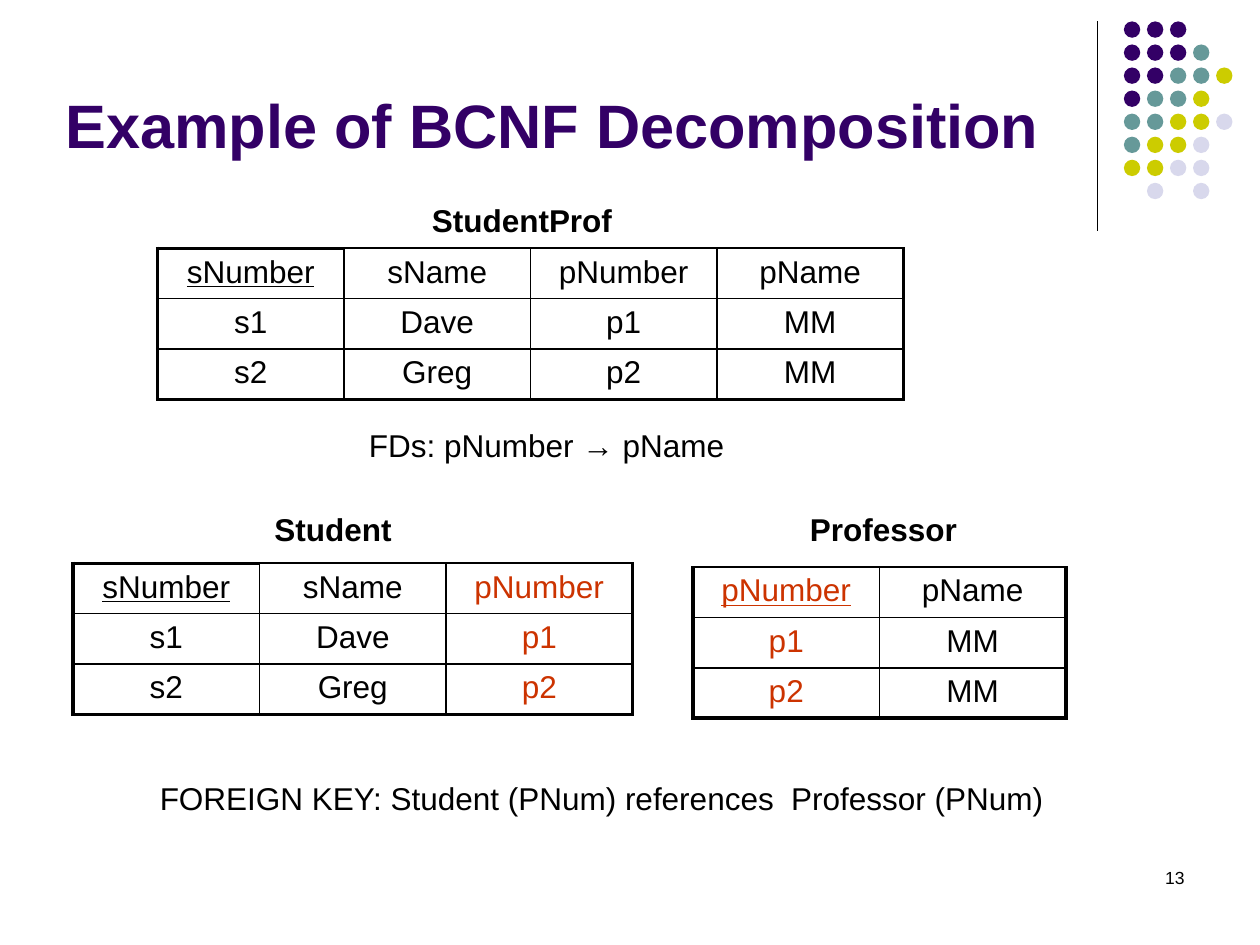
"""Build a slide that shows a BCNF decomposition with three tables."""
from lxml import etree
from pptx import Presentation
from pptx.dml.color import RGBColor
from pptx.enum import shapes, text
from pptx.oxml.ns import qn
from pptx.util import Inches, Pt

FONT = "Arial"
BLACK = RGBColor(0x00, 0x00, 0x00)
PURPLE = RGBColor(0x33, 0x00, 0x66)
TEAL = RGBColor(0x66, 0x99, 0x99)
LIME = RGBColor(0xCC, 0xCC, 0x00)
PALE = RGBColor(0xD8, 0xD8, 0xEC)
RED = RGBColor(0xCC, 0x33, 0x00)
LEFT, RIGHT = text.PP_ALIGN.LEFT, text.PP_ALIGN.RIGHT
CENTER = text.PP_ALIGN.CENTER

TITLE = "Example of BCNF Decomposition"
TABLES = [
    {"at": (1.25, 1.97), "red": None, "top": True, "rows": [
        ("sNumber", "sName", "pNumber", "pName"),
        ("s1", "Dave", "p1", "MM"),
        ("s2", "Greg", "p2", "MM")]},
    {"at": (0.58, 4.47), "red": 2, "top": True, "rows": [
        ("sNumber", "sName", "pNumber"),
        ("s1", "Dave", "p1"),
        ("s2", "Greg", "p2")]},
    {"at": (5.5, 4.5), "red": 0, "top": False, "rows": [
        ("pNumber", "pName"),
        ("p1", "MM"),
        ("p2", "MM")]},
]
LABELS = [
    ("StudentProf", (3.33, 1.55, 1.63, 0.4), True),
    ("FDs: pNumber → pName", (2.83, 3.33, 3.02, 0.4), False),
    ("Student", (2.08, 4, 1.13, 0.4), True),
    ("Professor", (6.33, 4, 1.37, 0.4), True),
]
KEY = "FOREIGN KEY: Student (PNum) references  Professor (PNum)"
DOTS = ["PPP", "PPPT", "PPTTL", "PTTL", "TTLLW", "TLLW", "LLWW", " W W"]
HUES = {"P": PURPLE, "T": TEAL, "L": LIME, "W": PALE}
COL, ROW = 1.48, 0.4
THIN, THICK = 1, 2.25
STEP, DOT = 0.183, 0.13


def write(para, words, size=18, color=BLACK, bold=False, line=False, align=LEFT):
    para.alignment = align
    run = para.add_run()
    run.text = words
    font = run.font
    font.name, font.size, font.bold = FONT, Pt(size), bold
    font.underline = line
    font.color.rgb = color


def add_text(slide, words, box, wrap=False, **style):
    frame = slide.shapes.add_textbox(*map(Inches, box)).text_frame
    frame.word_wrap = wrap
    para = frame.paragraphs[0]
    write(para, words, **style)
    return para


def set_edge(cell, side, width):
    edge = etree.SubElement(cell._tc.get_or_add_tcPr(), qn("a:ln" + side),
                            w=str(Pt(width)))
    fill = etree.SubElement(edge, qn("a:solidFill"))
    etree.SubElement(fill, qn("a:srgbClr"), val=str(BLACK))


def add_table(slide, data):
    rows = data["rows"]
    high, wide = len(rows), len(rows[0])
    box = (*data["at"], wide * COL, high * ROW)
    table = slide.shapes.add_table(high, wide, *map(Inches, box)).table
    table.first_row = table.horz_banding = False
    for col in table.columns:
        col.width = Inches(COL)
    for r, row in enumerate(rows):
        table.rows[r].height = Inches(ROW)
        for c, words in enumerate(row):
            cell = table.cell(r, c)
            para = cell.text_frame.paragraphs[0]
            para.space_before = Pt(3.6)
            write(para, words, color=RED if c == data["red"] else BLACK,
                  line=r == c == 0, align=CENTER)
            heavy = {"L": c == 0, "R": c == wide - 1,
                     "T": data["top"] and r == c == 0, "B": r == high - 1}
            for side, thick in heavy.items():
                set_edge(cell, side, THICK if thick else THIN)
            cell.fill.background()


def add_dots(slide):
    rule = slide.shapes.add_connector(
        shapes.MSO_CONNECTOR.STRAIGHT, Inches(8.71), Inches(0.17),
        Inches(8.71), Inches(1.83))
    rule.line.color.rgb = BLACK
    rule.line.width = Pt(0.75)
    etree.SubElement(rule._element.spPr, qn("a:effectLst"))
    for r, row in enumerate(DOTS):
        for c, mark in enumerate(row):
            if mark in HUES:
                box = (8.92 + c * STEP, 0.17 + r * STEP, DOT, DOT)
                dot = slide.shapes.add_shape(
                    shapes.MSO_SHAPE.OVAL, *map(Inches, box))
                dot.shadow.inherit = False
                dot.fill.solid()
                dot.fill.fore_color.rgb = HUES[mark]
                dot.line.fill.background()


def main():
    deck = Presentation()
    deck.slide_width, deck.slide_height = Inches(10), Inches(7.5)
    slide = deck.slides.add_slide(deck.slide_layouts[5])
    add_dots(slide)

    title = slide.shapes.title
    title.left, title.top = Inches(0.42), Inches(0.25)
    title.width, title.height = Inches(8.25), Inches(1.08)
    title.text_frame.vertical_anchor = text.MSO_ANCHOR.BOTTOM
    write(title.text_frame.paragraphs[0], TITLE, 35, PURPLE, bold=True)

    for data in TABLES:
        add_table(slide, data)
    for words, box, bold in LABELS:
        add_text(slide, words, box, bold=bold)

    key = add_text(slide, KEY, (0.67, 6.17, 7.73, 0.37))
    key.line_spacing, key.space_before = 0.9, Pt(3.6)
    key.level = 1
    key._p.get_or_add_pPr().set("marL", str(Inches(0.5)))
    add_text(slide, "13", (7.17, 6.83, 2.33, 0.5), wrap=True, size=10,
             align=RIGHT)
    deck.save("out.pptx")


if __name__ == "__main__":
    main()
